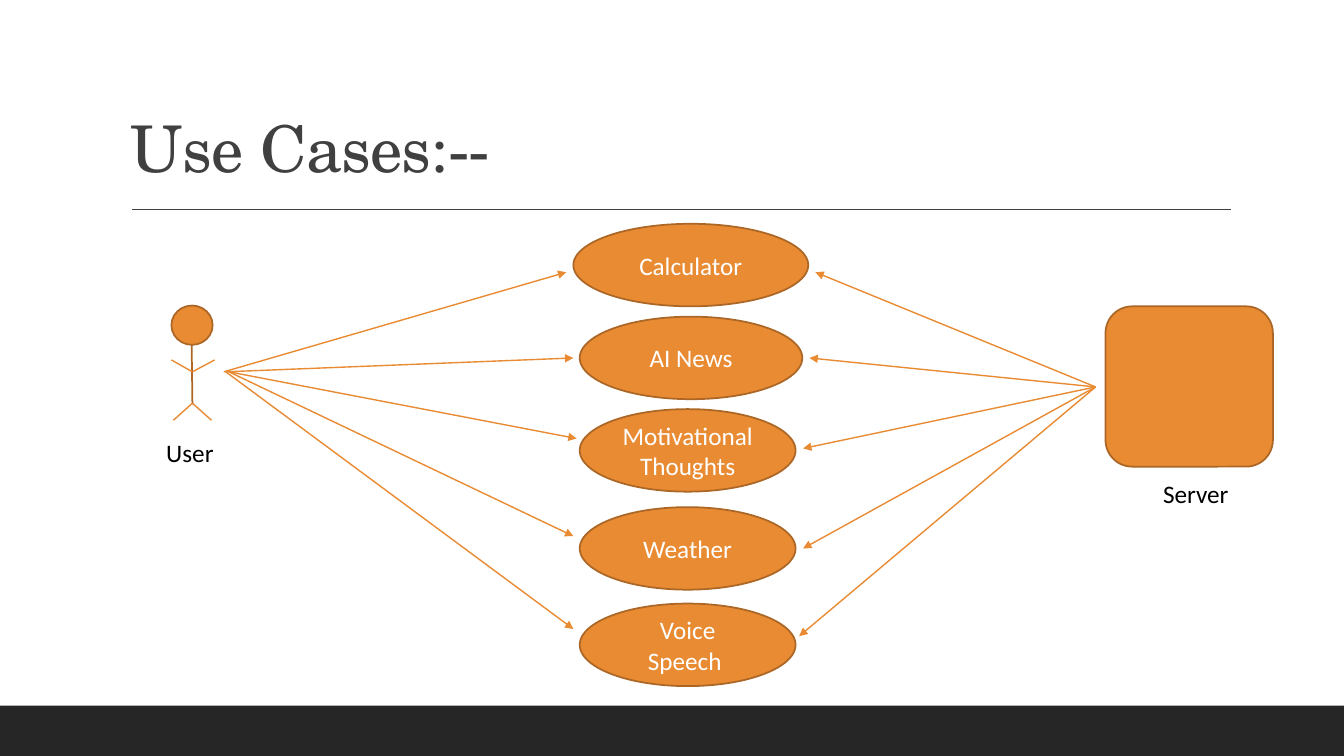
from typing import NamedTuple

from lxml.etree import SubElement
from pptx import Presentation
from pptx.dml.color import RGBColor
from pptx.enum.shapes import MSO_CONNECTOR as Connector, MSO_SHAPE as Preset
from pptx.enum.text import MSO_ANCHOR as Anchor, PP_ALIGN as Align
from pptx.oxml.ns import qn
from pptx.util import Cm, Pt

COLORS = {
    "orange": "E88B33",
    "brown": "AC6726",
    "dark": "404040",
    "footer": "262626",
    "white": "FFFFFF",
    "black": "000000",
}
Point = tuple[float, float]
Bounds = tuple[float, float, float, float]


class UseCase(NamedTuple):
    name: str
    left: float
    top: float
    width: float
    user_x: float
    user_tip: Point
    server_tip: Point


CASE_HEIGHT = 2.08
USER_Y = 9.37
SERVER_POINT = (27.61, 9.75)
USE_CASES = [
    UseCase("Calculator", 14.45, 5.64, 5.92, 5.64, (14.27, 6.86), (20.55, 6.86)),
    UseCase("AI News", 14.61, 7.98, 5.61, 5.69, (14.45, 9.02), (20.4, 9.02)),
    UseCase("Motivational Thoughts", 14.61, 10.31, 5.44, 5.77, (14.53, 11.05), (20.24, 11.3)),
    UseCase("Weather", 14.61, 12.78, 5.44, 5.77, (14.45, 13.51), (20.24, 13.82)),
    UseCase("Voice Speech ", 14.61, 15.21, 5.44, 5.69, (14.45, 15.85), (20.14, 16.03)),
]

SHOULDER, HIP = (4.85, 9.37), (4.85, 10.16)
LIMBS = [
    ((4.32, 9.07), SHOULDER),
    ((5.41, 9.07), SHOULDER),
    (HIP, (4.37, 10.59)),
    (HIP, (5.33, 10.59)),
]


def rgb(name: str) -> RGBColor:
    return RGBColor.from_string(COLORS[name])


def write(box, text: str, *, size: float = 18, font: str = "Calibri",
          color: str = "black", align=Align.LEFT, anchor=Anchor.TOP,
          line_spacing: float = 1.0, tracking: int = 0) -> None:
    frame = box.text_frame
    frame.word_wrap = True
    frame.vertical_anchor = anchor
    para = frame.paragraphs[0]
    para.alignment = align
    para.line_spacing = line_spacing
    span = para.add_run()
    span.text = text
    span.font.size = Pt(size)
    span.font.name = font
    span.font.color.rgb = rgb(color)
    if tracking:
        span.font._element.set("spc", str(tracking))


def add_label(page, bounds: Bounds, text: str, **text_format) -> None:
    box = page.shapes.add_textbox(*map(Cm, bounds))
    write(box, text, **text_format)


def add_block(page, preset, bounds: Bounds, fill: str = "orange",
              outline: str | None = "brown"):
    block = page.shapes.add_shape(preset, *map(Cm, bounds))
    block.shadow.inherit = False
    block.fill.solid()
    block.fill.fore_color.rgb = rgb(fill)
    if outline:
        block.line.color.rgb = rgb(outline)
        block.line.width = Pt(1.25)
    else:
        block.line.fill.background()
    return block


def add_line(page, start: Point, end: Point, color: str = "orange",
             width: float = 1, arrow: bool = False) -> None:
    line = page.shapes.add_connector(Connector.STRAIGHT, *map(Cm, start + end))
    line.line.color.rgb = rgb(color)
    line.line.width = Pt(width)
    if arrow:
        SubElement(line.line._get_or_add_ln(), qn("a:tailEnd"), type="triangle")
    SubElement(line._element.spPr, qn("a:effectLst"))


def main() -> None:
    deck = Presentation()
    deck.slide_width, deck.slide_height = Cm(33.87), Cm(19.05)
    page = deck.slides.add_slide(deck.slide_layouts[6])

    # Footer band, rule and title
    add_block(page, Preset.RECTANGLE, (0, 17.78, 33.87, 1.27), "footer", None)
    add_line(page, (3.33, 5.28), (31.01, 5.28), "dark")
    add_label(page, (3.05, 0.79, 27.94, 4.04), "Use Cases:--", size=46,
              font="TeX Gyre Schola", color="dark", anchor=Anchor.BOTTOM,
              line_spacing=0.9, tracking=-50)

    # User figure
    add_block(page, Preset.OVAL, (4.32, 7.7, 1.04, 0.99))
    add_line(page, (4.83, 8.69), (4.85, 10.19), "brown", 1.25)
    for start, end in LIMBS:
        add_line(page, start, end)
    add_label(page, (3.94, 10.9, 2.36, 1.04), "User")

    # Server
    add_block(page, Preset.ROUNDED_RECTANGLE, (27.86, 7.72, 4.22, 4.04))
    add_label(page, (29.06, 11.94, 2.46, 1.02), "Server")

    # Use cases with an arrow from each side
    for case in USE_CASES:
        oval = add_block(page, Preset.OVAL, (case.left, case.top, case.width, CASE_HEIGHT))
        write(oval, case.name, color="white", align=Align.CENTER, anchor=Anchor.MIDDLE)
        add_line(page, (case.user_x, USER_Y), case.user_tip, arrow=True)
        add_line(page, SERVER_POINT, case.server_tip, arrow=True)

    deck.save("out.pptx")


if __name__ == "__main__":
    main()
